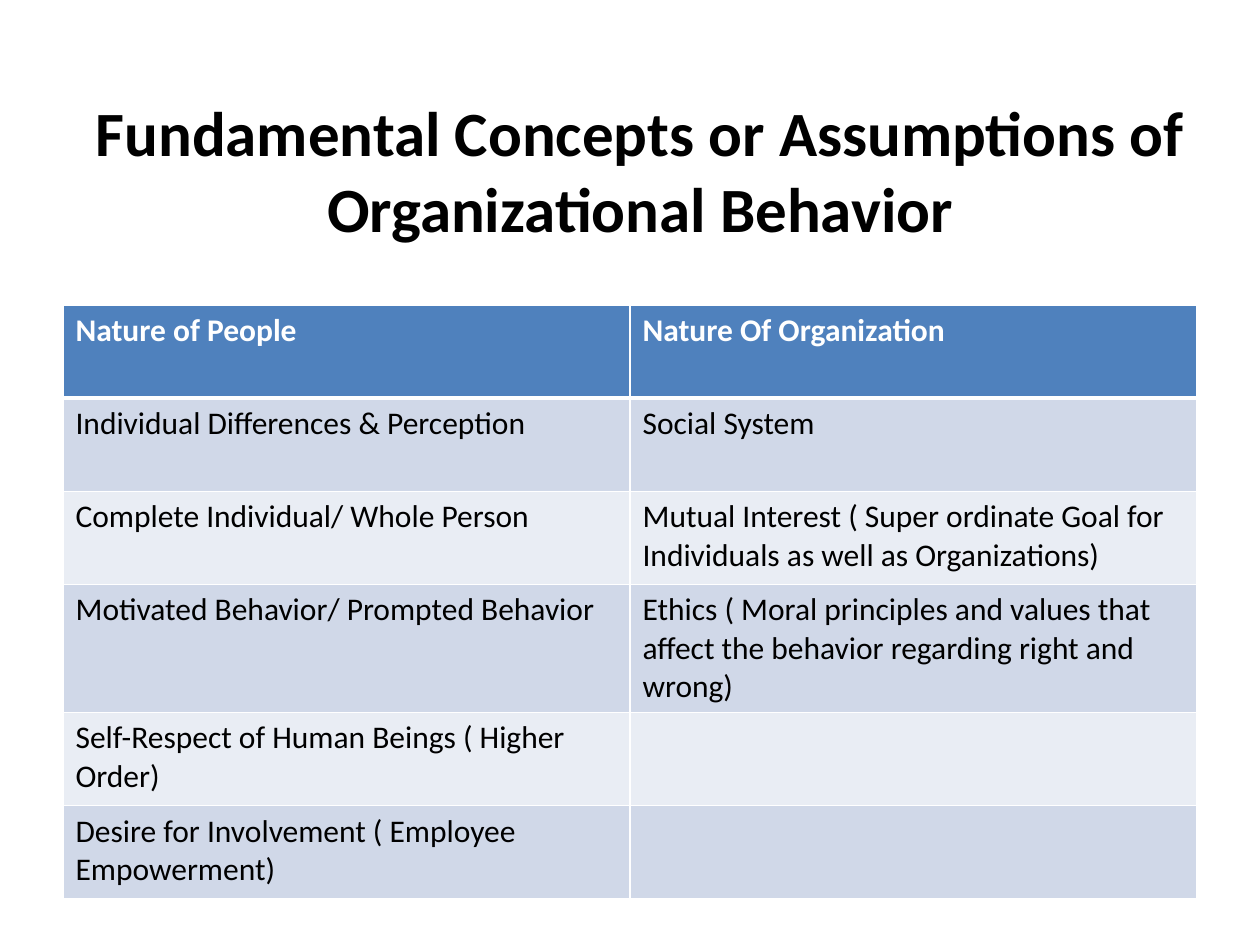
from lxml import etree
from pptx import Presentation
from pptx.dml.color import RGBColor
from pptx.enum.text import MSO_ANCHOR, MSO_AUTO_SIZE, PP_ALIGN
from pptx.oxml.ns import qn
from pptx.util import Inches, Pt

MIDDLE, CENTER, NO_FIT = MSO_ANCHOR.MIDDLE, PP_ALIGN.CENTER, MSO_AUTO_SIZE.NONE

TITLE = "Fundamental Concepts or Assumptions of Organizational Behavior"
ROWS = [
    ("Nature of People", "Nature Of Organization"),
    ("Individual Differences & Perception", "Social System"),
    ("Complete Individual/ Whole Person",
     "Mutual Interest ( Super ordinate Goal for Individuals as well as Organizations)"),
    ("Motivated Behavior/ Prompted Behavior",
     "Ethics ( Moral principles and values that affect the behavior regarding right and wrong)"),
    ("Self-Respect of Human Beings ( Higher Order)", ""),
    ("Desire for Involvement ( Employee Empowerment)", ""),
]
THEME = {
    "font": "Calibri", "title_size": 36, "cell_size": 18,
    "text": "000000", "header_text": "FFFFFF", "header": "4F81BD",
    "bands": ("E9EDF4", "D0D8E8"), "border": "FFFFFF",
}
COL_W, ROW_H = 4.5, 0.74


def add_run(p, text, size, color, bold):
    r = p.add_run()
    r.text = text
    r.font.name = THEME["font"]
    r.font.size = Pt(size)
    r.font.bold = bold
    r.font.color.rgb = RGBColor.from_string(color)


def set_borders(cell, widths):
    tc_pr = cell._tc.get_or_add_tcPr()
    for side, width in zip("LRTB", widths):
        ln = etree.SubElement(tc_pr, qn(f"a:ln{side}"), w=str(Pt(width)))
        fill = etree.SubElement(ln, qn("a:solidFill"))
        etree.SubElement(fill, qn("a:srgbClr"), val=THEME["border"])


def add_title(s):
    sp = s.shapes.title
    sp.left, sp.top, sp.width, sp.height = map(Inches, (0.58, 0.72, 9, 1.25))
    tf = sp.text_frame
    tf.word_wrap = True
    tf.auto_size = NO_FIT
    tf.vertical_anchor = MIDDLE
    p = tf.paragraphs[0]
    p.alignment = CENTER
    add_run(p, TITLE, THEME["title_size"], THEME["text"], True)


def add_concepts(s):
    n_rows, n_cols = len(ROWS), len(ROWS[0])
    table = s.shapes.add_table(n_rows, n_cols, Inches(0.5), Inches(2.42),
                               Inches(COL_W * n_cols), Inches(ROW_H * n_rows)).table
    for col in table.columns:
        col.width = Inches(COL_W)
    for i, texts in enumerate(ROWS):
        table.rows[i].height = Inches(ROW_H)
        header = i == 0
        fill = THEME["header"] if header else THEME["bands"][i % 2]
        color = THEME["header_text"] if header else THEME["text"]
        widths = (1, 1, 3 if i == 1 else 1, 3 if header else 1)
        for j, text in enumerate(texts):
            cell = table.cell(i, j)
            set_borders(cell, widths)
            cell.fill.solid()
            cell.fill.fore_color.rgb = RGBColor.from_string(fill)
            if text:
                add_run(cell.text_frame.paragraphs[0], text,
                        THEME["cell_size"], color, header)


def main():
    prs = Presentation()
    prs.slide_width, prs.slide_height = Inches(10), Inches(7.5)
    s = prs.slides.add_slide(prs.slide_layouts[5])
    add_title(s)
    add_concepts(s)
    prs.save("out.pptx")


if __name__ == "__main__":
    main()
